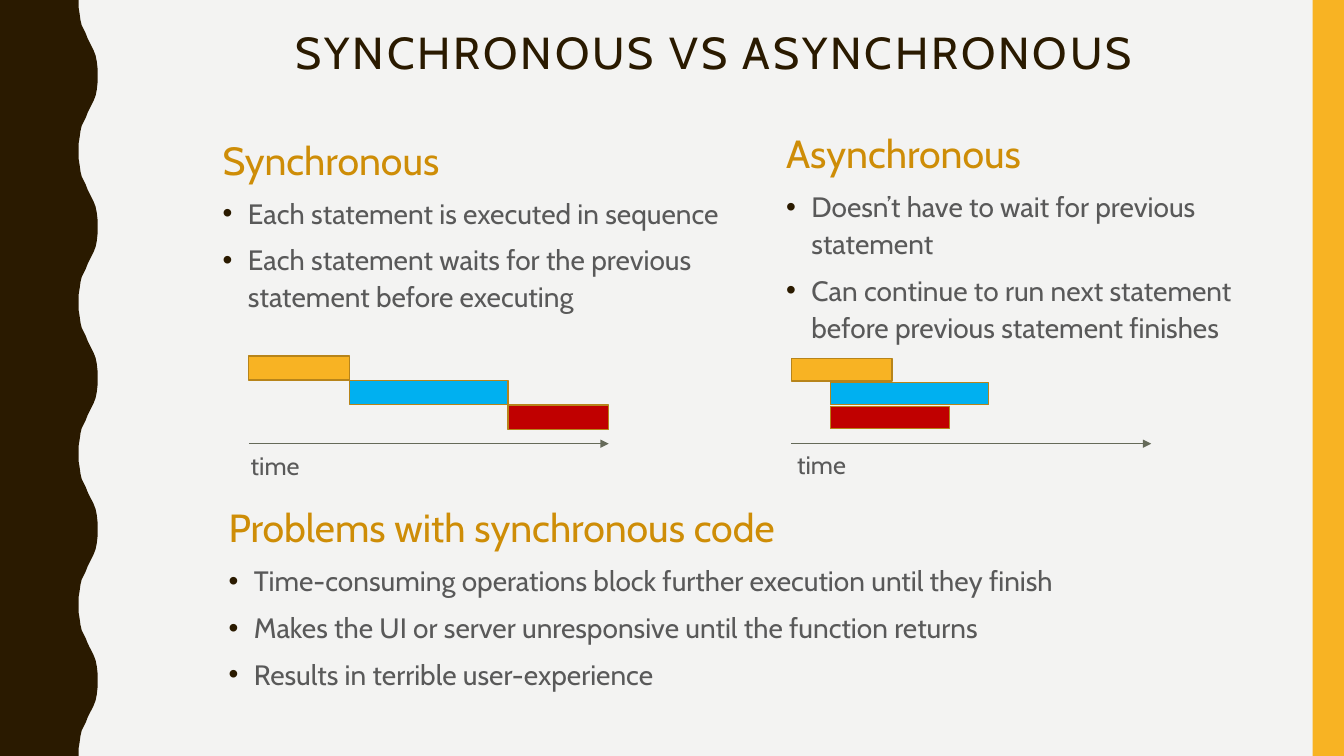
import pptx
import pptx.dml.color
import pptx.enum.shapes
import pptx.enum.text
import pptx.oxml
import pptx.oxml.ns
import pptx.util

Cm = pptx.util.Cm
Pt = pptx.util.Pt
RECTANGLE = pptx.enum.shapes.MSO_SHAPE.RECTANGLE
FONT = "Cabin"
BROWN, YELLOW, BLUE, RED = "2A1A00", "F8B323", "00B0F0", "C00000"
GOLD, GREY, BAR_LINE, AXIS = "CE8D07", "595959", "B7841A", "656A59"
WIDTH, HEIGHT = 33.87, 19.05


def color(value):
    return pptx.dml.color.RGBColor.from_string(value)


def add_xml(parent, xml):
    namespace = pptx.oxml.ns.nsdecls("a")
    parent.append(pptx.oxml.parse_xml(xml.replace("/>", f" {namespace}/>", 1)))


def paint(shape, fill, line=None):
    shape.shadow.inherit = False
    shape.fill.solid()
    shape.fill.fore_color.rgb = color(fill)
    if line:
        shape.line.color.rgb = color(line)
        shape.line.width = Pt(1)
    else:
        shape.line.fill.background()


def add_rectangle(slide, left, top, width, height, fill, line=None):
    shape = slide.shapes.add_shape(RECTANGLE, Cm(left), Cm(top), Cm(width), Cm(height))
    paint(shape, fill, line)


def add_text_frame(slide, left, top, width, height):
    box = slide.shapes.add_textbox(Cm(left), Cm(top), Cm(width), Cm(height))
    box.text_frame.word_wrap = True
    return box.text_frame


def style(paragraph, size, font_color):
    paragraph.font.name = FONT
    paragraph.font.size = Pt(size)
    paragraph.font.color.rgb = color(font_color)


def add_borders(slide):
    # Wavy left border: half a wave, mirrored and repeated down the slide
    half_wave = [(1.98, 0), (1.98, 0.18), (2.01, 0.36), (2.03, 0.51), (2.06, 0.64),
                 (2.11, 0.74), (2.16, 0.84), (2.21, 0.97), (2.26, 1.07), (2.31, 1.17),
                 (2.36, 1.27), (2.41, 1.4), (2.44, 1.55), (2.46, 1.73), (2.46, 1.9)]
    period = HEIGHT / 5
    wave = half_wave + [(x, period - y) for x, y in reversed(half_wave)]
    edge = [(Cm(x), Cm(y + i * period)) for i in range(5) for x, y in wave]
    builder = slide.shapes.build_freeform(0, 0)
    builder.add_line_segments(edge + [(0, Cm(HEIGHT))], close=True)
    paint(builder.convert_to_shape(), BROWN)
    # Right stripe
    add_rectangle(slide, WIDTH - 0.79, 0, 0.79, HEIGHT, YELLOW)


def add_title(slide, left, top, width, height, text):
    paragraph = add_text_frame(slide, left, top, width, height).paragraphs[0]
    paragraph.alignment = pptx.enum.text.PP_ALIGN.CENTER
    paragraph.line_spacing = 0.9
    run = paragraph.add_run()
    run.text = text
    run._r.get_or_add_rPr().set("spc", "200")
    style(paragraph, 32, BROWN)


def add_section(slide, left, top, width, height, heading, bullets):
    frame = add_text_frame(slide, left, top, width, height)
    for i, text in enumerate([heading] + bullets):
        paragraph = frame.add_paragraph() if i else frame.paragraphs[0]
        paragraph.text = text
        paragraph.line_spacing = 1.1
        paragraph.space_before = Pt(7)
        if i:
            properties = paragraph._p.get_or_add_pPr()
            properties.set("marL", str(Cm(0.64)))
            properties.set("indent", str(-Cm(0.64)))
            bullet_color = pptx.oxml.parse_xml(
                f'<a:buClr {pptx.oxml.ns.nsdecls("a")}><a:srgbClr val="{BROWN}"/></a:buClr>')
            properties.append(bullet_color)
            add_xml(properties, '<a:buFont typeface="Arial"/>')
            add_xml(properties, '<a:buChar char="•"/>')
        style(paragraph, 20 if i else 28, GREY if i else GOLD)


def add_timeline(slide, left, top, bar_height, pitch, bars, label_left, label_top):
    # One bar per statement
    for i, (start, length, fill) in enumerate(bars):
        add_rectangle(slide, left + start, top + i * pitch, length, bar_height, fill, BAR_LINE)
    # Time axis
    axis_y = Cm(11.18)
    axis = slide.shapes.add_connector(
        pptx.enum.shapes.MSO_CONNECTOR.STRAIGHT, Cm(left), axis_y, Cm(left + 9.07), axis_y)
    axis.line.color.rgb = color(AXIS)
    axis.line.width = Pt(0.5)
    add_xml(axis.line._get_or_add_ln(), '<a:tailEnd type="triangle"/>')
    add_xml(axis._element.spPr, "<a:effectLst/>")
    # Axis label
    frame = add_text_frame(slide, left + label_left, label_top, 4.14, 1.02)
    frame.auto_size = pptx.enum.text.MSO_AUTO_SIZE.SHAPE_TO_FIT_TEXT
    frame.text = "time"
    style(frame.paragraphs[0], 18, GREY)


def main():
    presentation = pptx.Presentation()
    presentation.slide_width, presentation.slide_height = Cm(WIDTH), Cm(HEIGHT)
    slide = presentation.slides.add_slide(presentation.slide_layouts[6])
    slide.background.fill.solid()
    slide.background.fill.fore_color.rgb = color("F3F3F2")

    add_borders(slide)
    add_title(slide, 2.87, 0.64, 30.25, 1.88, "SYNCHRONOUS VS ASYNCHRONOUS")
    add_section(slide, 5.36, 3.18, 14.22, 6.5, "Synchronous", [
        "Each statement is executed in sequence",
        "Each statement waits for the previous statement before executing"])
    add_section(slide, 19.56, 3.02, 12.93, 5.94, "Asynchronous", [
        "Doesn’t have to wait for previous statement",
        "Can continue to run next statement before previous statement finishes"])
    add_section(slide, 5.51, 12.45, 26.01, 6.5, "Problems with synchronous code", [
        "Time-consuming operations block further execution until they finish",
        "Makes the UI or server unresponsive until the function returns",
        "Results in terrible user-experience"])
    add_timeline(slide, 6.27, 8.97, 0.61, 0.62,
                 [(0, 2.54, YELLOW), (2.54, 3.99, BLUE), (6.53, 2.54, RED)], -0.2, 11.23)
    add_timeline(slide, 19.94, 9.04, 0.56, 0.6,
                 [(0, 2.54, YELLOW), (0.99, 3.99, BLUE), (0.99, 3, RED)], -0.1, 11.2)
    presentation.save("out.pptx")


if __name__ == "__main__":
    main()
